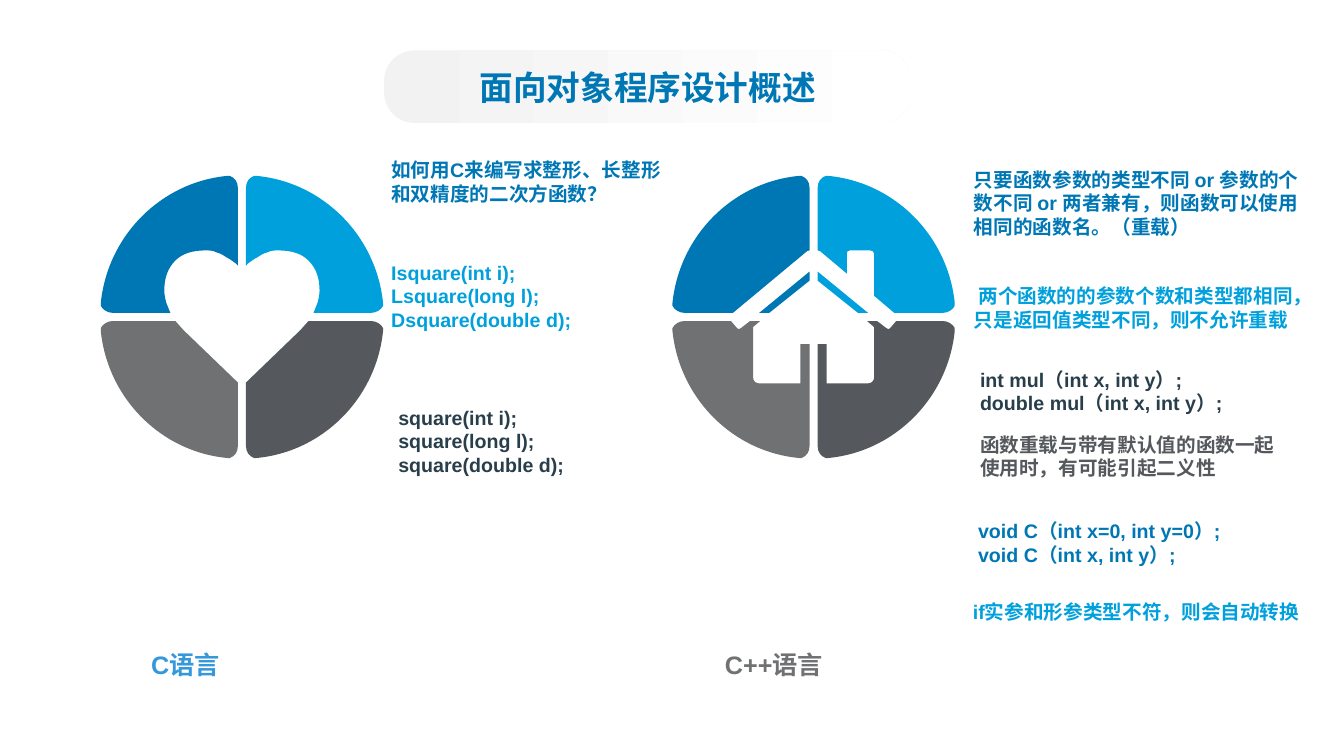
from lxml import etree
from pptx import Presentation
from pptx.dml.color import RGBColor
from pptx.enum.shapes import MSO_SHAPE as SHAPE
from pptx.enum.text import MSO_ANCHOR as ANCHOR, PP_ALIGN as ALIGN
from pptx.oxml.ns import qn
from pptx.util import Inches, Pt

BLUE, SKY, DARK, GREY, NAVY = "0077B5", "00A0DC", "55595D", "6F7173", "283E4A"
TITLE = "面向对象程序设计概述"

# Text boxes: left, top, width, height, colour, paragraphs
NOTES = [
    (3.88, 1.51, 2.78, 0.58, BLUE, ["如何用C来编写求整形、长整形和双精度的二次方函数？"]),
    (9.66, 1.51, 3.28, 1.01, BLUE,
     ["只要函数参数的类型不同 or 参数的个数不同 or 两者兼有，则函数可以使用相同的函数名。（重载）"]),
    (3.88, 2.42, 2.78, 1.03, SKY,
     ["Isquare(int i);", "Lsquare(long l);", "Dsquare(double d);"]),
    (9.66, 2.42, 3.38, 1.27, SKY,
     [" 两个函数的的参数个数和类型都相同，只是返回值类型不同，则不允许重载"]),
    (3.95, 3.75, 2.78, 1.25, NAVY,
     ["square(int i);", "square(long l);", "square(double d);"]),
    (9.72, 3.59, 2.78, 0.58, NAVY,
     ["int mul（int x, int y）;", "double mul（int x, int y）;"]),
    (9.72, 4.17, 3.09, 0.71, DARK, ["函数重载与带有默认值的函数一起使用时，有可能引起二义性"]),
    (9.7, 4.88, 3.28, 1.01, BLUE,
     ["void C（int x=0, int y=0）;", "void C（int x, int y）;"]),
    (9.65, 5.43, 3.38, 1.27, SKY, ["if实参和形参类型不符，则会自动转换"]),
]
LABELS = [(1.5, 6.37, 5.07, 0.45, "3498DB", ["C语言"]),
          (7.19, 6.37, 5.07, 0.45, GREY, ["C++语言"])]

# Outlines as distances from the ring's centre: pairs are line ends, sixes are curves
RIM = [(0.04, 1.28), (0.04, 1.34, 0.07, 1.38, 0.12, 1.4), (0.14, 1.4),
       (0.8, 1.34, 1.33, 0.81, 1.4, 0.14), (1.4, 0.13), (1.4, 0.11),
       (1.38, 0.07, 1.33, 0.04, 1.28, 0.04)]
HEART_TOP = [(0.71, 0.04), (0.75, 0.14), (0.76, 0.18, 0.77, 0.22, 0.77, 0.26),
             (0.77, 0.38, 0.74, 0.48, 0.66, 0.56), (0.59, 0.63, 0.49, 0.66, 0.36, 0.66),
             (0.32, 0.66, 0.29, 0.66, 0.25, 0.64), (0.21, 0.63, 0.18, 0.61, 0.15, 0.59),
             (0.11, 0.57, 0.09, 0.55, 0.06, 0.53), (0.04, 0.51)]
HEART_TIP = [(0.66, 0.04), (0.58, 0.13), (0.04, 0.65)]
PEAK = [(0.08, 0.64), (0.07, 0.65, 0.06, 0.66, 0.04, 0.66)]
ROOF = [(0.8, 0.04)] + PEAK
CHIMNEY = [(0.8, 0.04), (0.6, 0.21), (0.6, 0.63), (0.6, 0.65, 0.58, 0.66, 0.56, 0.66),
           (0.36, 0.66), (0.34, 0.66, 0.33, 0.65, 0.33, 0.63), (0.33, 0.43)] + PEAK
WALL = [(0.82, 0.04), (0.76, 0.11), (0.75, 0.12, 0.74, 0.13, 0.72, 0.11), (0.63, 0.04),
        (0.53, 0.04), (0.6, 0.1), (0.6, 0.6), (0.6, 0.64, 0.57, 0.66, 0.53, 0.66),
        (0.13, 0.66), (0.13, 0.27), (0.04, 0.27)]
EAVE = [(0.04, 0.45), (0.04, 0.36), (0.44, 0.04), (0.54, 0.04)]

# Quadrants: x direction, y direction, colour
QUADRANTS = [(-1, -1, BLUE), (1, -1, SKY), (1, 1, DARK), (-1, 1, GREY)]
CENTRE_Y = (1.74 + 4.55) / 2
# Rings: centre x, then the contours of each quadrant
RINGS = [
    (2.4, [[RIM + HEART_TOP]] * 2 + [[RIM + HEART_TIP]] * 2),
    (8.07, [[RIM + ROOF, EAVE], [RIM + CHIMNEY, EAVE]] + [[RIM + WALL]] * 2),
]


def rgb(value):
    return RGBColor.from_string(value)


def bend_curves(sp, parts):
    """Join the three lines that stand for each six-number part into one curve."""
    lines = iter(list(sp._element.iter(qn("a:lnTo"))))
    for part in parts:
        first = next(lines)
        if len(part) == 6:
            curve = etree.Element(qn("a:cubicBezTo"))
            first.addprevious(curve)
            for line in (first, next(lines), next(lines)):
                curve.append(line[0])
                line.getparent().remove(line)


def add_quadrant(s, cx, dx, dy, contours, color):
    builder = None
    for contour in contours:
        points = [(Inches(cx + dx * part[i]), Inches(CENTRE_Y + dy * part[i + 1]))
                  for part in contour for i in range(0, len(part), 2)]
        if builder is None:
            builder = s.shapes.build_freeform(*points[0])
        else:
            builder.move_to(*points[0])
        builder.add_line_segments(points[1:], close=True)
    sp = builder.convert_to_shape()
    bend_curves(sp, [part for contour in contours for part in contour[1:]])
    sp.shadow.inherit = False
    sp.fill.solid()
    sp.fill.fore_color.rgb = rgb(color)
    sp.line.fill.background()


def style(p, text, size, color, font="Arial"):
    p.text = text
    p.font.size, p.font.bold, p.font.name = Pt(size), True, font
    p.font.color.rgb = rgb(color)


def add_text(s, box, size, wrap):
    *place, color, lines = box
    tf = s.shapes.add_textbox(*map(Inches, place)).text_frame
    tf.word_wrap = wrap
    tf.vertical_anchor = ANCHOR.MIDDLE
    tf.margin_left = tf.margin_right = tf.margin_top = tf.margin_bottom = 0
    for i, line in enumerate(lines):
        style(tf.add_paragraph() if i else tf.paragraphs[0], line, size, color)


def add_title(s):
    sp = s.shapes.add_shape(SHAPE.ROUNDED_RECTANGLE, *map(Inches, (3.81, 0.5, 5.23, 0.72)))
    sp.adjustments[0] = 0.42
    sp.shadow.inherit = False
    sp.line.fill.background()
    sp.fill.gradient()
    sp.fill.gradient_angle = 0
    for stop, position, color in zip(sp.fill.gradient_stops, (0, 0.99), ("F2F2F2", "FFFFFF")):
        stop.position = position
        stop.color.rgb = rgb(color)
    sp.text_frame.vertical_anchor = ANCHOR.MIDDLE
    p = sp.text_frame.paragraphs[0]
    p.alignment = ALIGN.CENTER
    style(p, TITLE, 24, BLUE, "Noto Sans CJK SC")


def main():
    prs = Presentation()
    prs.slide_width, prs.slide_height = Inches(13.33), Inches(7.5)
    s = prs.slides.add_slide(prs.slide_layouts[6])
    # Rings
    for cx, shapes in RINGS:
        for (dx, dy, color), contours in zip(QUADRANTS, shapes):
            add_quadrant(s, cx, dx, dy, contours, color)
    # Title and text
    for box in NOTES:
        add_text(s, box, 14, True)
    for box in LABELS:
        add_text(s, box, 18, False)
    add_title(s)
    prs.save("out.pptx")


if __name__ == "__main__":
    main()
